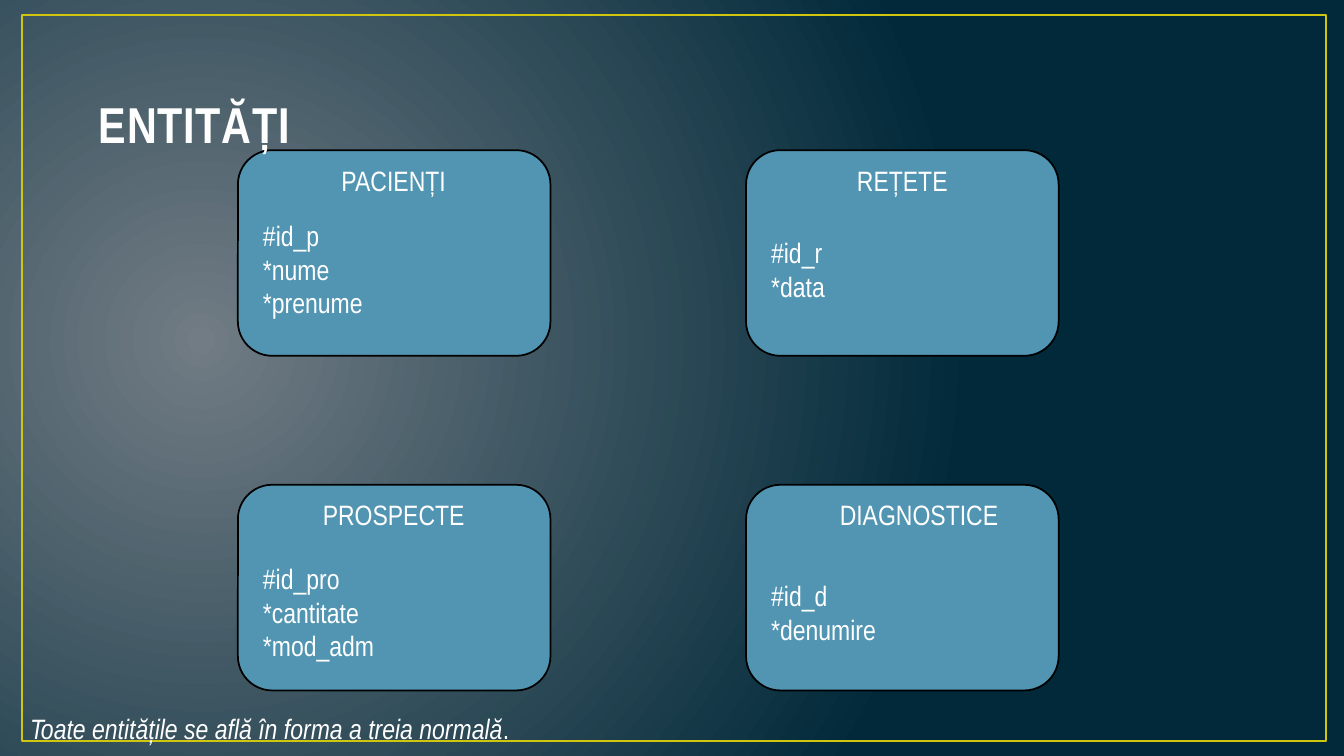
from lxml import etree
from pptx import Presentation, util as u
from pptx.dml.color import RGBColor
from pptx.enum import shapes, text
from pptx.oxml import parse_xml
from pptx.oxml.ns import nsdecls, qn

FONT = "Arial Narrow"
HEX = {"glow": "717C84", "deep": "01293A", "frame": "CFC60D", "card": "5295B2",
       "edge": "000000", "text": "FFFFFF", "title": "FEFEFE", "rim": "384F55"}
TITLE = "ENTITĂȚI"
NOTE = [("Toate entitățile se află în forma a treia normală", True), (".", False)]
CARDS = [
    ("PACIENȚI", 3.17, 1.47, ["#id_p", "*nume", "*prenume"], 0.63, 1.95),
    ("REȚETE", 8.17, 1.56, ["#id_r", "*data"], 0.8, 1.43),
    ("PROSPECTE", 2.95, 1.91, ["#id_pro", "*cantitate", "*mod_adm"], 0.71, 2.04),
    ("DIAGNOSTICE", 8.17, 1.89, ["#id_d", "*denumire"], 0.88, 1.82),
]
COLS, ROWS = (2.36, 7.4), (1.49, 4.81)
CARD_W, CARD_H = 3.1, 2.04


def color(key):
    return RGBColor.from_string(HEX[key])


def shape(kind, box, fill, line, width):
    item = slide.shapes.add_shape(kind, *map(u.Inches, box))
    item.shadow.inherit = False
    if fill:
        item.fill.solid()
        item.fill.fore_color.rgb = color(fill)
    else:
        item.fill.background()
    item.line.color.rgb = color(line)
    item.line.width = u.Pt(width)


def add_run(para, words, size=20, key="text", bold=False, italic=False):
    run = para.add_run()
    run.text = words
    font = run.font
    font.name, font.size = FONT, u.Pt(size)
    font.bold, font.italic = bold, italic
    font.color.rgb = color(key)
    return run


def label(box, lines, align=text.PP_ALIGN.LEFT):
    frame = slide.shapes.add_textbox(*map(u.Inches, box)).text_frame
    frame.word_wrap = True
    frame.auto_size = text.MSO_AUTO_SIZE.SHAPE_TO_FIT_TEXT
    for i, runs in enumerate(lines):
        para = frame.add_paragraph() if i else frame.paragraphs[0]
        para.alignment = align
        for words, italic in runs:
            add_run(para, words, italic=italic)


deck = Presentation()
deck.slide_width, deck.slide_height = u.Inches(13.33), u.Inches(7.5)
slide = deck.slides.add_slide(deck.slide_layouts[5])

slide.background.fill.gradient()
grad = next(slide.element.iter(qn("a:gradFill")))
grad.getparent().replace(grad, parse_xml(
    f'<a:gradFill {nsdecls("a")} rotWithShape="1"><a:gsLst>'
    f'<a:gs pos="0"><a:srgbClr val="{HEX["glow"]}"/></a:gs>'
    f'<a:gs pos="100000"><a:srgbClr val="{HEX["deep"]}"/></a:gs></a:gsLst>'
    '<a:path path="circle"><a:fillToRect l="15000" t="50000" r="85000" b="60000"/>'
    '</a:path></a:gradFill>'))

KIND = shapes.MSO_SHAPE
shape(KIND.RECTANGLE, (0.22, 0.15, 12.93, 7.2), None, "frame", 1.5)
for y in ROWS:
    for x in COLS:
        shape(KIND.ROUNDED_RECTANGLE, (x, y, CARD_W, CARD_H), "card", "edge", 1.25)

title = slide.shapes.title
title.left, title.top = u.Inches(0.88), u.Inches(-0.08)
title.width, title.height = u.Inches(9.33), u.Inches(1.65)
frame = title.text_frame
frame.word_wrap = True
frame.auto_size = text.MSO_AUTO_SIZE.NONE
frame.vertical_anchor = text.MSO_ANCHOR.BOTTOM
para = frame.paragraphs[0]
para.alignment = text.PP_ALIGN.LEFT
run = add_run(para, TITLE, 36, "title", bold=True)
props = run.font._element
props.set("spc", "50")
rim = etree.Element(qn("a:ln"), w=str(u.Pt(1.05)))
solid = etree.SubElement(rim, qn("a:solidFill"))
etree.SubElement(solid, qn("a:srgbClr"), val=HEX["rim"])
props.insert(0, rim)
slide.shapes._spTree.append(title.element)

for i, (name, x, wide, fields, drop, span) in enumerate(CARDS):
    left, top = COLS[i % 2], ROWS[i // 2]
    label((x, top + 0.08, wide, 0.74), [[(name, False)]], text.PP_ALIGN.CENTER)
    label((left + 0.15, top + drop, span, 0.41 + len(fields) / 3),
          [[(field, False)] for field in fields])
label((0.2, 7.01, 6.57, 0.74), [NOTE])

deck.save("out.pptx")
